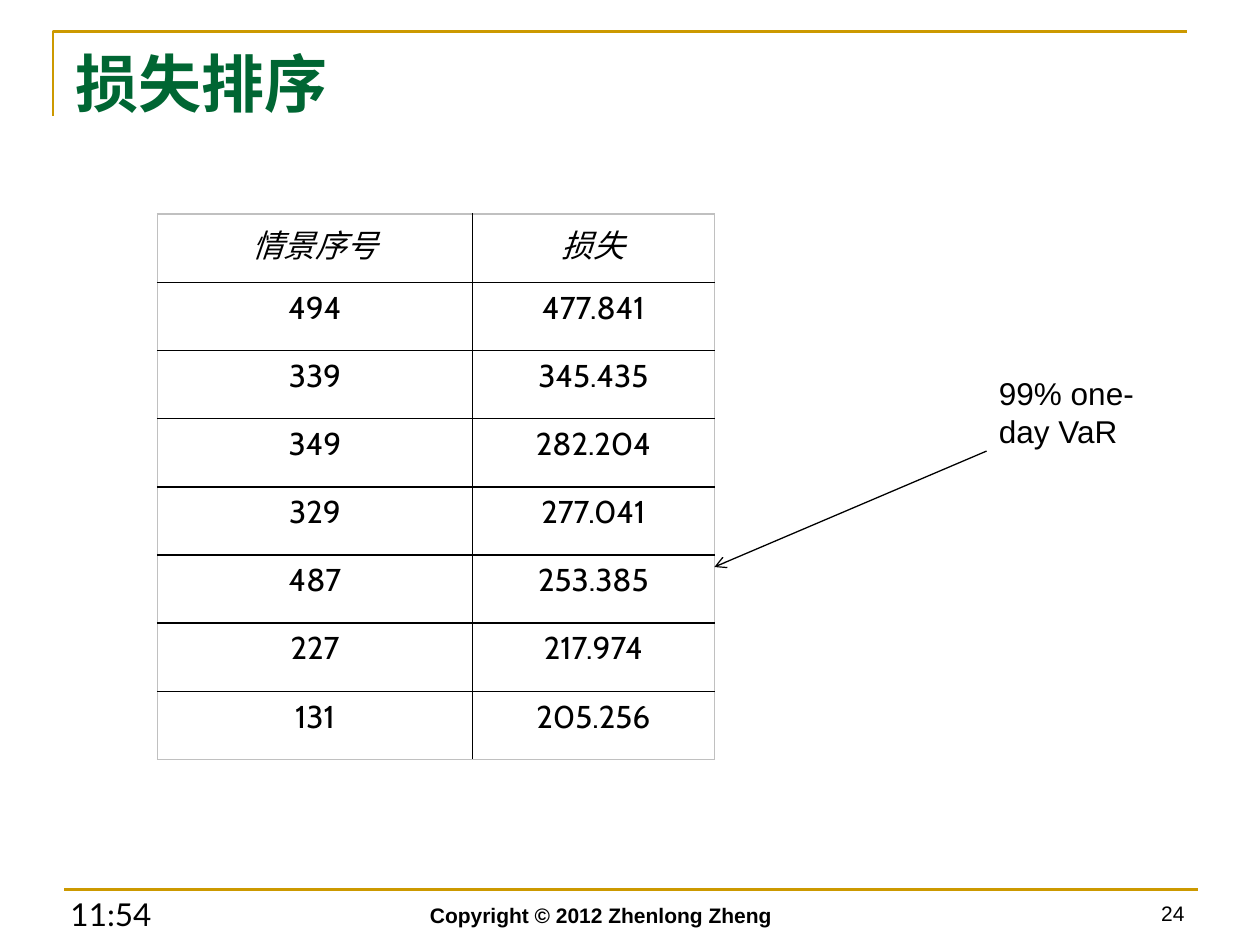
from lxml import etree
from pptx import Presentation
from pptx import util as u
from pptx.dml.color import RGBColor
from pptx.enum import shapes, text
from pptx.oxml.ns import qn

# Content
TITLE = "损失排序"
LOSSES = [
    ("情景序号", "损失"),
    ("494", "477.841"),
    ("339", "345.435"),
    ("349", "282.204"),
    ("329", "277.041"),
    ("487", "253.385"),
    ("227", "217.974"),
    ("131", "205.256"),
]
COLORS = {"gold": "CC9900", "green": "006633", "black": "000000", "edge": "C0C0C0"}
LEFT, CENTER, RIGHT = text.PP_ALIGN.LEFT, text.PP_ALIGN.CENTER, text.PP_ALIGN.RIGHT
TOP, BOTTOM = text.MSO_ANCHOR.TOP, text.MSO_ANCHOR.BOTTOM

# Words, box in inches, alignment, anchor, font
LABELS = [
    ("11:54", (-0.12, 6.95, 1.42, 0.5), RIGHT, BOTTOM, {"name": "Lato", "size": u.Pt(18)}),
    ("Copyright © 2012 Zhenlong Zheng", (1.8, 6.91, 5.94, 0.5), CENTER, BOTTOM,
     {"name": "Arial", "size": u.Pt(12), "bold": True}),
    ("24", (7.17, 6.9, 2.33, 0.5), RIGHT, BOTTOM, {"name": "Arial", "size": u.Pt(12)}),
    ("99% one-day VaR", (7.83, 2.92, 1.58, 0.71), LEFT, TOP,
     {"name": "Arial", "size": u.Pt(18)}),
]
TABLE_BOX = (1.25, 1.7, 4.42, 4.33)
COLUMN_WIDTHS = (2.5, 1.92)


def inches(values):
    return [u.Inches(value) for value in values]


def write(frame, words, align, font, color="black"):
    frame.word_wrap = True
    paragraph = frame.paragraphs[0]
    paragraph.alignment = align
    run = paragraph.add_run()
    run.text = words
    for name, value in font.items():
        setattr(run.font, name, value)
    run.font.color.rgb = RGBColor.from_string(COLORS[color])


def set_line(shape, color, width):
    shape.line.color.rgb = RGBColor.from_string(COLORS[color])
    shape.line.width = u.Pt(width)


def add_line(slide, start, end, color, width):
    line = slide.shapes.add_connector(
        shapes.MSO_CONNECTOR.STRAIGHT, *inches(start + end))
    set_line(line, color, width)
    etree.SubElement(line._element.spPr, qn("a:effectLst"))
    return line


def set_borders(cell, side_colors):
    properties = cell._tc.get_or_add_tcPr()
    for index, (side, color) in enumerate(side_colors.items()):
        border = etree.Element(qn(f"a:ln{side}"), w=str(u.Pt(1)))
        fill = etree.SubElement(border, qn("a:solidFill"))
        etree.SubElement(fill, qn("a:srgbClr"), val=COLORS[color])
        properties.insert(index, border)


def add_frame(slide):
    builder = slide.shapes.build_freeform(u.Inches(0.42), u.Inches(0.92))
    corners = [inches(point) for point in ((0.42, 0.25), (9.42, 0.25))]
    builder.add_line_segments(corners, close=False)
    corner = builder.convert_to_shape()
    corner.shadow.inherit = False
    corner.fill.background()
    set_line(corner, "gold", 1.5)
    add_line(slide, (0.51, 7.06), (9.51, 7.06), "gold", 1.5)


def add_title(slide):
    title = slide.shapes.title
    title.left, title.top, title.width, title.height = inches((0.5, 0.3, 9, 1.25))
    title.text_frame.vertical_anchor = TOP
    write(title.text_frame, TITLE, LEFT,
          {"name": "Lato", "size": u.Pt(36), "bold": True}, "green")


def add_losses(slide):
    rows, columns = len(LOSSES), len(COLUMN_WIDTHS)
    table = slide.shapes.add_table(rows, columns, *inches(TABLE_BOX)).table
    table.first_row = table.horz_banding = False
    for column, width in zip(table.columns, COLUMN_WIDTHS):
        column.width = u.Inches(width)
    for r, values in enumerate(LOSSES):
        header = r == 0
        font = {"name": "Times New Roman" if header else "Cabin",
                "size": u.Pt(18), "italic": header}
        for c, value in enumerate(values):
            cell = table.cell(r, c)
            cell.fill.background()
            write(cell.text_frame, value, CENTER, font)
            outer = {"L": c == 0, "R": c == columns - 1, "T": header, "B": r == rows - 1}
            set_borders(cell, {side: "edge" if is_outer else "black"
                               for side, is_outer in outer.items()})


def main():
    presentation = Presentation()
    presentation.slide_width, presentation.slide_height = inches((10, 7.5))
    slide = presentation.slides.add_slide(presentation.slide_layouts[5])

    add_frame(slide)
    add_title(slide)
    add_losses(slide)

    # Footer and callout
    for words, box, align, anchor, font in LABELS:
        frame = slide.shapes.add_textbox(*inches(box)).text_frame
        frame.vertical_anchor = anchor
        write(frame, words, align, font)

    # Arrow from the callout to the fifth loss
    arrow = add_line(slide, (7.83, 3.58), (5.67, 4.5), "black", 0.75)
    etree.SubElement(arrow.line._get_or_add_ln(), qn("a:tailEnd"), type="arrow")

    presentation.save("out.pptx")


if __name__ == "__main__":
    main()
